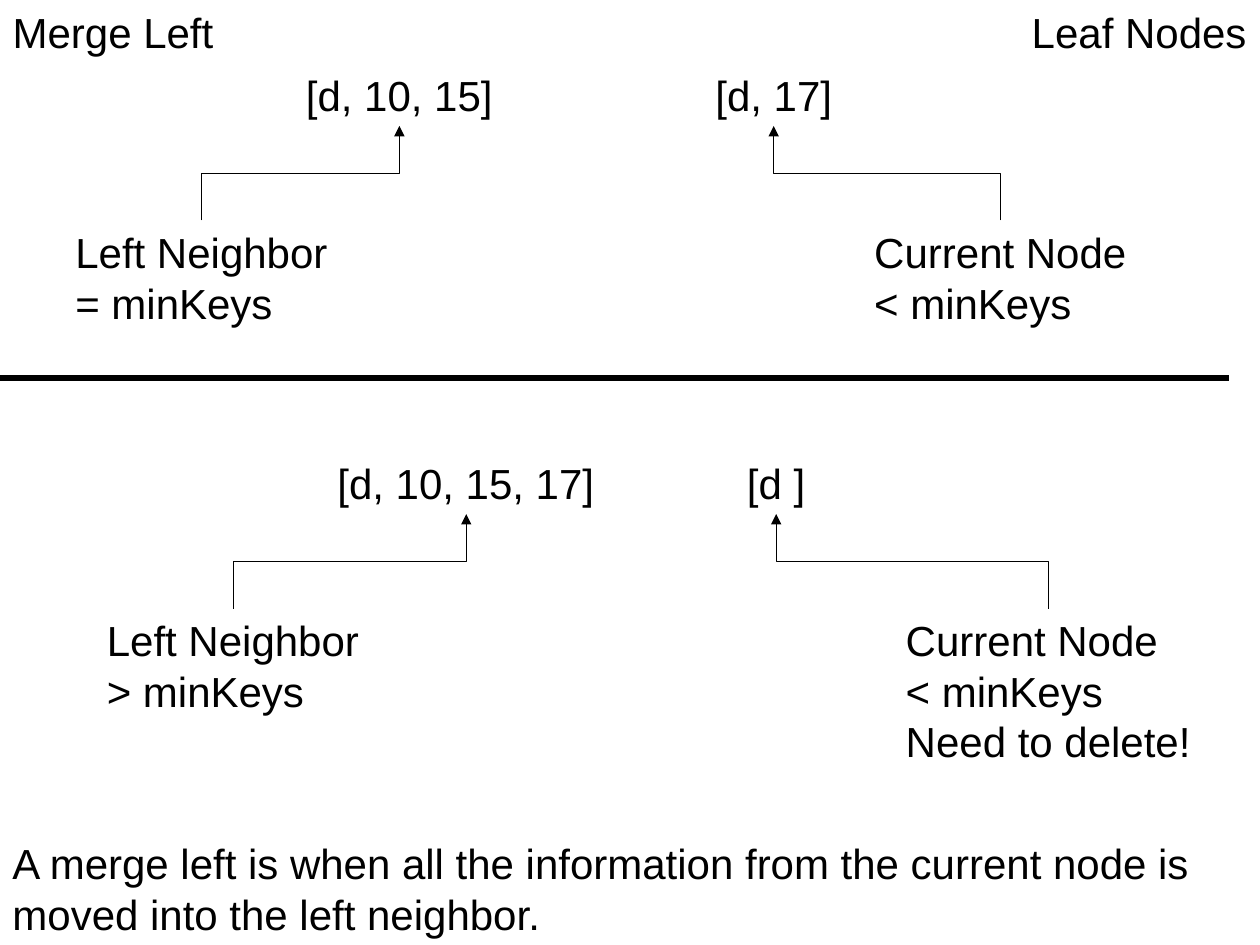
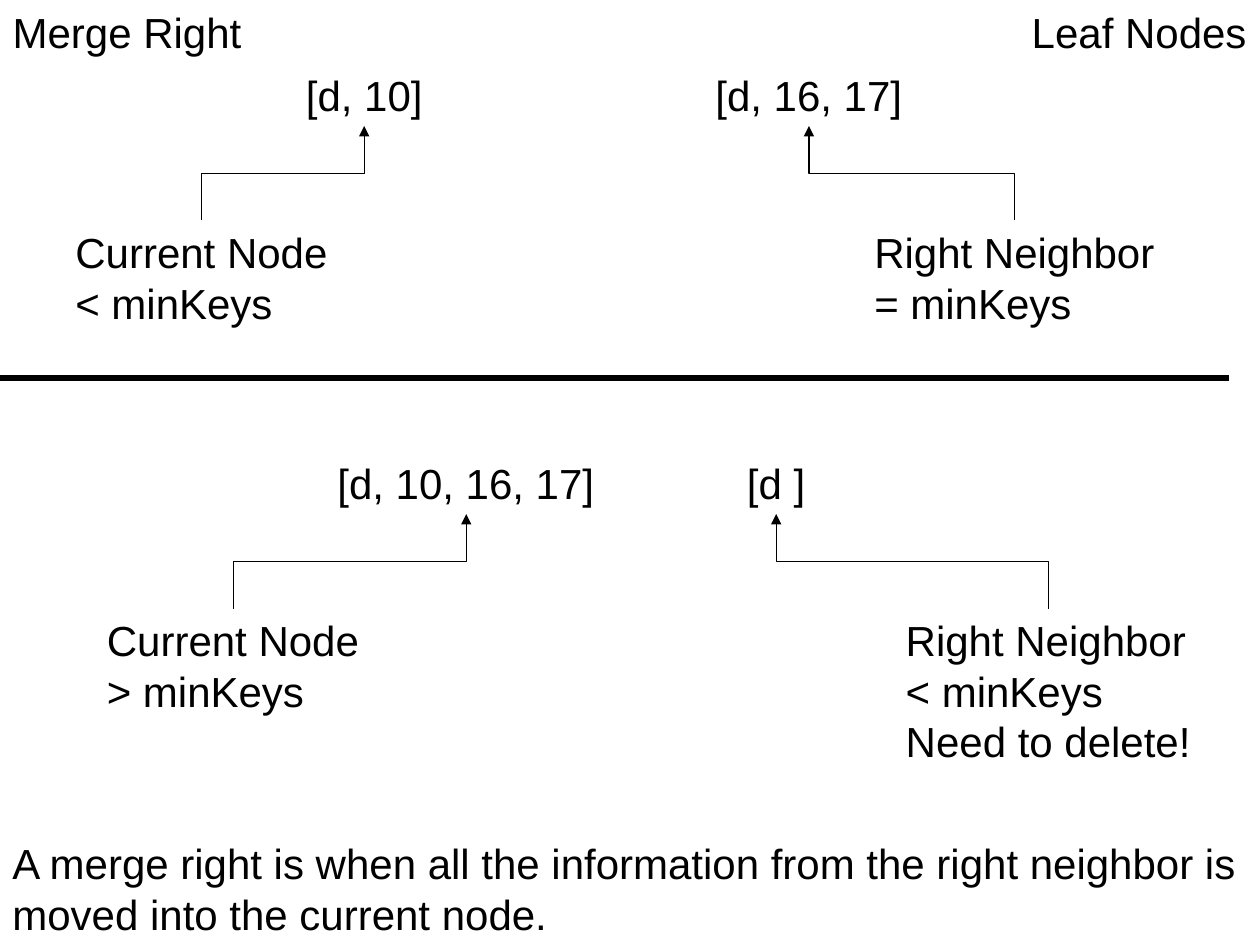
from lxml.etree import SubElement
from pptx import Presentation
from pptx.dml.color import RGBColor
from pptx.enum.shapes import MSO_CONNECTOR as Connector
from pptx.enum.text import MSO_ANCHOR as Anchor, MSO_AUTO_SIZE as AutoSize, PP_ALIGN as Align
from pptx.oxml.ns import qn
from pptx.util import Inches, Pt

COLORS = {"ink": "000000", "background": "FFFFFF"}
FONT = "Arial"
TEXT_SIZE = 24
TITLE_ONLY = 5

LINE_HEIGHT = 0.4
BOX_PADDING = 0.1
ARROW_RISE = 0.75
KEYS_TO_LABEL = 1.25
KEYS_X = (2.33, 5.58)
LABEL_X = (0.5, 6.84)
BEFORE_ROW = (0, 0.5)      # shift to the right, top of the keys
AFTER_ROW = (0.25, 3.58)

# Each node: keys, width of keys, label, width of label
MERGES = [
    {
        "title": ("Merge Left", 1.79),
        "before": [("[d, 10, 15]", 1.68, "Left Neighbor\n= minKeys", 2.2),
                   ("[d, 17]", 1.12, "Current Node\n< minKeys", 2.2)],
        "after": [("[d, 10, 15, 17]", 2.24, "Left Neighbor\n> minKeys", 2.2),
                  ("[d ]", 0.66, "Current Node\n< minKeys\nNeed to delete!", 2.46)],
        "summary": ("A merge left is when all the information from the current node "
                    "is moved into the left neighbor.", 9.75),
    },
    {
        "title": ("Merge Right", 2.01),
        "before": [("[d, 10]", 1.12, "Current Node\n< minKeys", 2.2),
                   ("[d, 16, 17]", 1.68, "Right Neighbor\n= minKeys", 2.42)],
        "after": [("[d, 10, 16, 17]", 2.24, "Current Node\n> minKeys", 2.2),
                  ("[d ]", 0.66, "Right Neighbor\n< minKeys\nNeed to delete!", 2.46)],
        "summary": ("A merge right is when all the information from the right neighbor "
                    "is moved into the current node.", 10),
    },
]


def color(name):
    return RGBColor.from_string(COLORS[name])


def write(frame, text):
    """Fill a frame; without a right margin, tight boxes keep each label on its line."""
    frame.text = text
    frame.word_wrap = True
    frame.margin_right = 0
    frame.auto_size = AutoSize.NONE
    frame.vertical_anchor = Anchor.TOP
    for paragraph in frame.paragraphs:
        paragraph.alignment = Align.LEFT
        for run in paragraph.runs:
            run.font.name = FONT
            run.font.size = Pt(TEXT_SIZE)
            run.font.color.rgb = color("ink")


def add_text(slide, text, left, top, width, lines=1):
    height = lines * LINE_HEIGHT + BOX_PADDING
    box = slide.shapes.add_textbox(Inches(left), Inches(top), Inches(width), Inches(height))
    write(box.text_frame, text)


def add_title(slide, text, width):
    title = slide.shapes.title
    title.left, title.top = Inches(0), Inches(0)
    title.width, title.height = Inches(width), Inches(LINE_HEIGHT + BOX_PADDING)
    write(title.text_frame, text)


def add_line(slide, kind, begin, end, weight):
    line = slide.shapes.add_connector(kind, *(Inches(length) for length in (*begin, *end)))
    line.line.color.rgb = color("ink")
    line.line.width = Pt(weight)
    SubElement(line._element.spPr, qn("a:effectLst"))
    return line


def add_elbow_arrow(slide, label_x, label_top, keys_x):
    """Rise from a label to its keys: a horizontal elbow turned by a quarter."""
    side = 1 if keys_x > label_x else -1
    center_x = (label_x + keys_x) / 2
    center_y = label_top - ARROW_RISE / 2
    half_rise, half_run = side * ARROW_RISE / 2, abs(keys_x - label_x) / 2
    arrow = add_line(slide, Connector.ELBOW,
                     (center_x + half_rise, center_y + half_run),
                     (center_x - half_rise, center_y - half_run), 0.75)
    properties = arrow._element.spPr
    properties.find(qn("a:xfrm")).set("rot", str(side * 90 % 360 * 60000))
    SubElement(properties.find(qn("a:ln")), qn("a:tailEnd"), type="triangle")


def add_node_row(slide, nodes, row):
    shift, keys_top = row
    label_top = keys_top + KEYS_TO_LABEL
    for (keys, keys_width, label, label_width), keys_x, label_x in zip(nodes, KEYS_X, LABEL_X):
        keys_left, label_left = keys_x + shift, label_x + shift
        add_text(slide, keys, keys_left, keys_top, keys_width)
        add_text(slide, label, label_left, label_top, label_width, label.count("\n") + 1)
        add_elbow_arrow(slide, label_left + label_width / 2, label_top,
                        keys_left + keys_width / 2)


def add_merge_slide(deck, merge):
    slide = deck.slides.add_slide(deck.slide_layouts[TITLE_ONLY])
    add_title(slide, *merge["title"])
    add_node_row(slide, merge["before"], BEFORE_ROW)
    add_line(slide, Connector.STRAIGHT, (0, 3), (9.75, 3), 3)
    add_node_row(slide, merge["after"], AFTER_ROW)
    summary, width = merge["summary"]
    add_text(slide, summary, 0, 6.6, width, lines=2)
    add_text(slide, "Leaf Nodes", 8.09, 0, 1.9)


def main():
    deck = Presentation()
    deck.slide_width, deck.slide_height = Inches(10), Inches(7.5)
    background = deck.slide_master.background.fill
    background.solid()
    background.fore_color.rgb = color("background")
    for merge in MERGES:
        add_merge_slide(deck, merge)
    deck.save("out.pptx")


if __name__ == "__main__":
    main()
